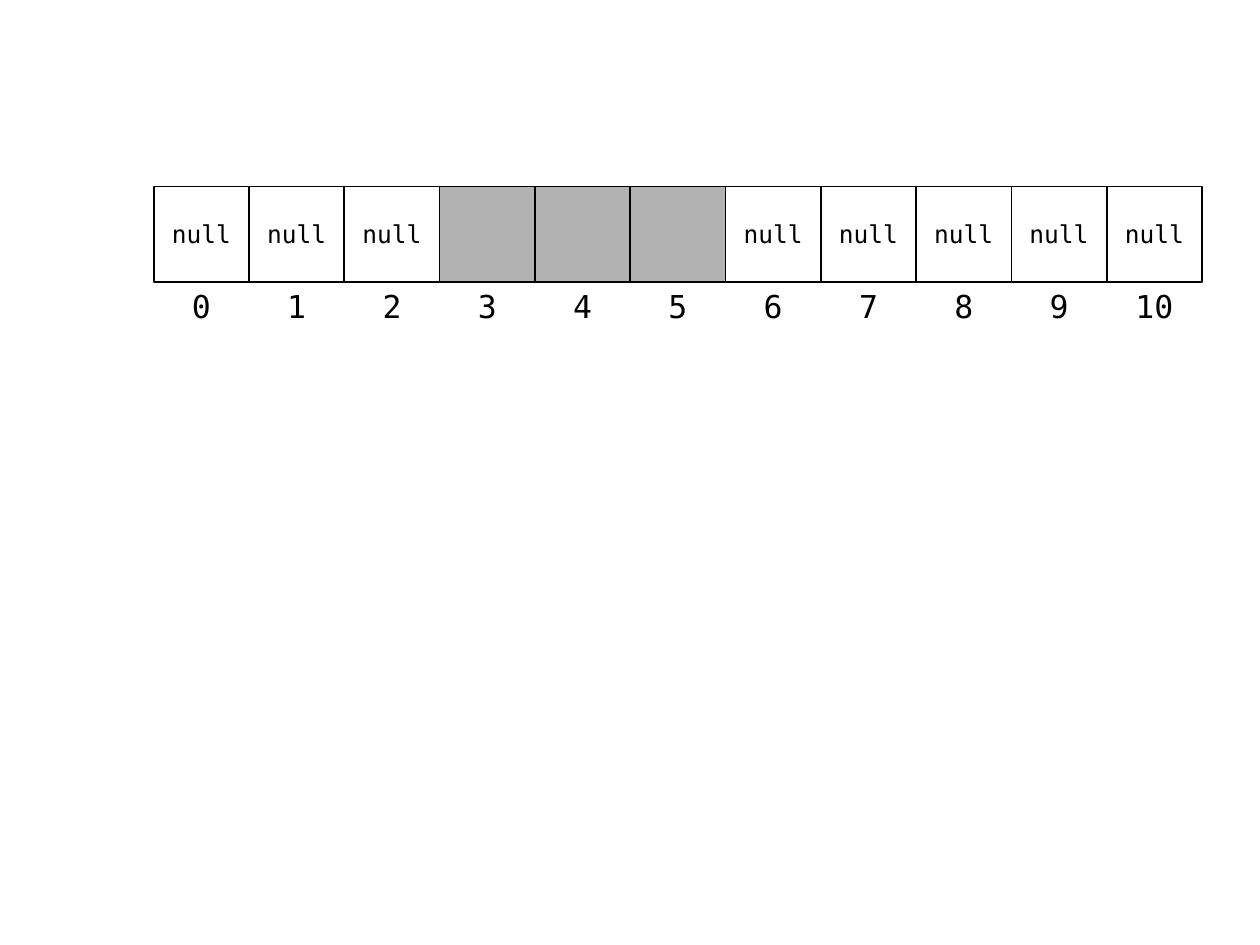
from pptx import Presentation
from pptx.dml.color import RGBColor
from pptx.enum.shapes import MSO_SHAPE
from pptx.enum.text import MSO_ANCHOR, PP_ALIGN
from pptx.util import Inches, Pt

COLORS = {"paper": "FFFFFF", "ink": "000000", "occupied": "B2B2B2"}
FONT = "DejaVu Sans Mono"
SLOT_COUNT = 11
OCCUPIED_SLOTS = range(3, 6)
ARRAY_LEFT, ARRAY_TOP, ARRAY_WIDTH = 1.22, 1.48, 8.32
SLOT_SIZE = ARRAY_WIDTH / SLOT_COUNT


def color(name):
    return RGBColor.from_string(COLORS[name])


def write(box, text, size, ink="ink", align=PP_ALIGN.CENTER):
    frame = box.text_frame
    frame.margin_left = frame.margin_right = 0
    frame.margin_top = frame.margin_bottom = 0
    frame.vertical_anchor = MSO_ANCHOR.MIDDLE
    paragraph = frame.paragraphs[0]
    paragraph.alignment = align
    run = paragraph.add_run()
    run.text = text
    run.font.name = FONT
    run.font.size = Pt(size)
    run.font.color.rgb = color(ink)


def add_box(slide, column, row, rows, fill="paper", outlined=False):
    box = slide.shapes.add_shape(
        MSO_SHAPE.RECTANGLE,
        Inches(ARRAY_LEFT + column * SLOT_SIZE),
        Inches(ARRAY_TOP + row * SLOT_SIZE),
        Inches(SLOT_SIZE),
        Inches(rows * SLOT_SIZE),
    )
    box.shadow.inherit = False
    box.fill.solid()
    box.fill.fore_color.rgb = color(fill)
    if outlined:
        box.line.color.rgb = color("ink")
        box.line.width = Pt(1)
    else:
        box.line.fill.background()
    return box


def add_index(slide, index):
    write(add_box(slide, index, row=1, rows=0.5), str(index), size=18)


def add_slot(slide, index):
    occupied = index in OCCUPIED_SLOTS
    fill = "occupied" if occupied else "paper"
    slot = add_box(slide, index, row=0, rows=1, fill=fill, outlined=True)
    if not occupied:
        write(slot, "null", size=14)


def main():
    deck = Presentation()
    deck.slide_width, deck.slide_height = Inches(10), Inches(7.5)
    slide = deck.slides.add_slide(deck.slide_layouts[6])
    for add_part in (add_index, add_slot):
        for index in range(SLOT_COUNT):
            add_part(slide, index)
    deck.save("out.pptx")


main()
